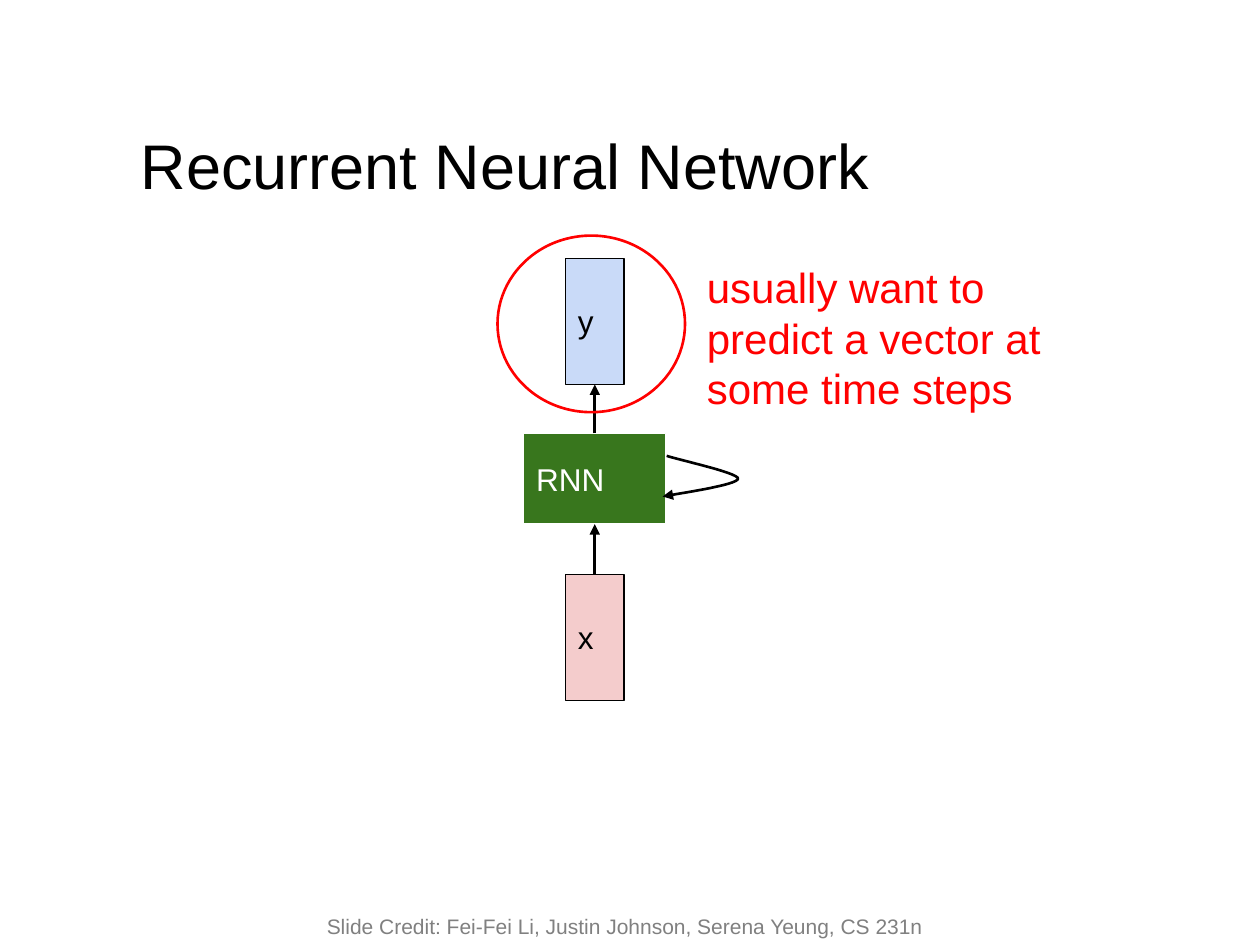
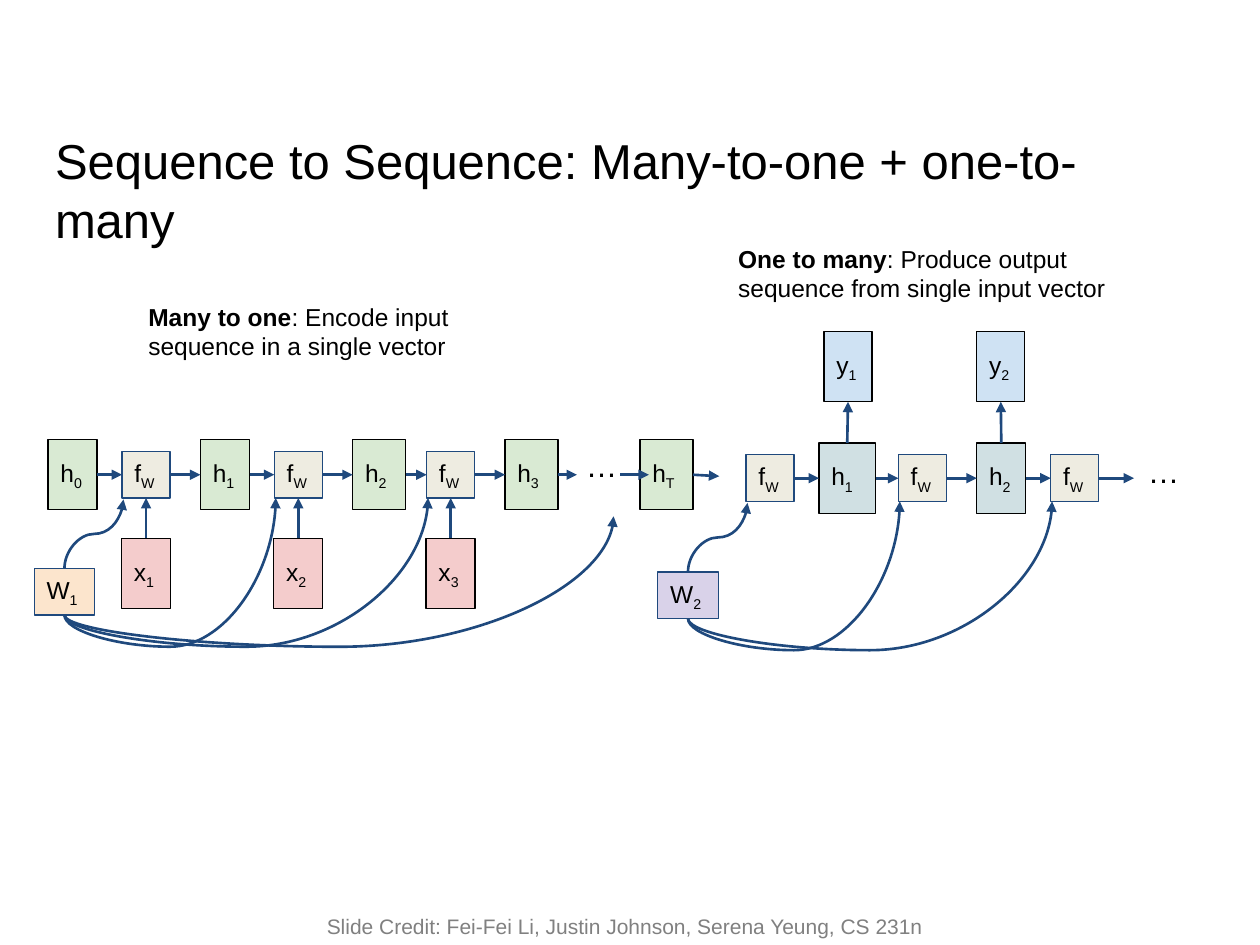
from lxml import etree
from pptx import Presentation
from pptx import util as u
from pptx.dml.color import RGBColor
from pptx.enum import shapes, text
from pptx.oxml.ns import qn

BLACK = RGBColor(0x00, 0x00, 0x00)
WHITE = RGBColor(0xFF, 0xFF, 0xFF)
RED = RGBColor(0xFF, 0x00, 0x00)
GRAY = RGBColor(0x80, 0x80, 0x80)
NAVY = RGBColor(0x1F, 0x49, 0x7D)
PINK = RGBColor(0xF4, 0xCC, 0xCC)
GREEN = RGBColor(0x38, 0x76, 0x1D)
PERIWINKLE = RGBColor(0xC9, 0xDA, 0xF8)
PALE_BLUE = RGBColor(0xCF, 0xE2, 0xF3)
PALE_GREEN = RGBColor(0xD9, 0xEA, 0xD3)
PALE_TEAL = RGBColor(0xD0, 0xE0, 0xE3)
BEIGE = RGBColor(0xEE, 0xEC, 0xE1)
PEACH = RGBColor(0xFC, 0xE5, 0xCD)
LILAC = RGBColor(0xD9, 0xD2, 0xE9)

TOP, LEFT, BOTTOM, RIGHT = range(4)
STEP = 3.07
CELL_WIDTH, CELL_HEIGHT = 0.97, 0.94
STATE_HEIGHT = 1.42
WEIGHT_WIDTH = 1.22
WEIGHT_DROP = 2.36
CURVE_DIP = 0.64
CREDIT = "Slide Credit: Fei-Fei Li, Justin Johnson, Serena Yeung, CS 231n"


def cubic(start, first, second, end, steps=16):
    points = []
    for step in range(1, steps + 1):
        t = step / steps
        weights = ((1 - t) ** 3, 3 * t * (1 - t) ** 2, 3 * t * t * (1 - t), t ** 3)
        points.append(tuple(
            sum(w * p for w, p in zip(weights, axis))
            for axis in zip(start, first, second, end)))
    return points


class Deck:
    font = "Arial"
    inset = u.Cm(0.25)

    def __init__(self):
        self.show = Presentation()
        self.show.slide_width = u.Cm(25.4)
        self.show.slide_height = u.Cm(19.05)
        self.slide = None

    def new_slide(self):
        self.slide = self.show.slides.add_slide(self.show.slide_layouts[6])
        self.text([(CREDIT,)], 5.08, 17.78, 15.04, 1.27, 12, GRAY,
                  anchor=text.MSO_ANCHOR.BOTTOM, align=text.PP_ALIGN.CENTER)

    def add_runs(self, shape, runs, size, color, anchor, align):
        frame = shape.text_frame
        frame.word_wrap = True
        frame.vertical_anchor = anchor
        frame.margin_left = frame.margin_right = self.inset
        if anchor != text.MSO_ANCHOR.BOTTOM:
            frame.margin_top = frame.margin_bottom = self.inset
        paragraph = frame.paragraphs[0]
        paragraph.alignment = align
        for words, *styles in runs:
            run = paragraph.add_run()
            run.text = words
            run.font.name = self.font
            run.font.size = u.Pt(size)
            run.font.color.rgb = color
            run.font.bold = "bold" in styles
            if "sub" in styles:
                run.font._element.set("baseline", "-25000")

    def text(self, runs, left, top, width, height, size, color=BLACK,
             anchor=text.MSO_ANCHOR.TOP, align=text.PP_ALIGN.LEFT):
        box = self.slide.shapes.add_textbox(
            u.Cm(left), u.Cm(top), u.Cm(width), u.Cm(height))
        self.add_runs(box, runs, size, color, anchor, align)

    def outline(self, kind, left, mid, width, height, edge, weight):
        shape = self.slide.shapes.add_shape(
            kind, u.Cm(left), u.Cm(mid - height / 2), u.Cm(width), u.Cm(height))
        shape.shadow.inherit = False
        shape.fill.background()
        shape.line.color.rgb = edge
        shape.line.width = u.Pt(weight)
        return shape

    def box(self, label, left, mid, width, height, fill, edge=BLACK,
            size=14, color=BLACK):
        shape = self.outline(shapes.MSO_SHAPE.RECTANGLE, left, mid, width, height, edge, 0.75)
        shape.fill.solid()
        shape.fill.fore_color.rgb = fill
        base, _, index = label.partition("_")
        runs = [(base,), (index, "sub")] if index else [(base,)]
        self.add_runs(shape, runs, size, color,
                      text.MSO_ANCHOR.MIDDLE, text.PP_ALIGN.LEFT)
        return shape

    def ring(self, left, mid, width, height, edge):
        self.outline(shapes.MSO_SHAPE.OVAL, left, mid, width, height, edge, 1.5)

    def arrowhead(self, shape, color):
        shape.line.color.rgb = color
        shape.line.width = u.Pt(1.5)
        etree.SubElement(shape.get_or_add_ln(), qn("a:tailEnd"), type="triangle")

    def connector(self, kind, start, end, color):
        line = self.slide.shapes.add_connector(
            kind, *(u.Cm(value) for value in (*start, *end)))
        self.arrowhead(line, color)
        etree.SubElement(line._element.spPr, qn("a:effectLst"))
        return line

    def arrow(self, source, target, color=NAVY, sides=(RIGHT, LEFT)):
        ends = [end if isinstance(end, tuple) else (0, 0) for end in (source, target)]
        line = self.connector(shapes.MSO_CONNECTOR.STRAIGHT, *ends, color)
        if not isinstance(source, tuple):
            line.begin_connect(source, sides[0])
        if not isinstance(target, tuple):
            line.end_connect(target, sides[1])

    def curve(self, start, end, bend):
        (x1, y1), (x2, y2) = start, end
        mid_x, mid_y = (x1 + x2) / 2, (y1 + y2) / 2
        half_width, half_height = (y1 - y2) / 2, (x2 - x1) / 2
        line = self.connector(
            shapes.MSO_CONNECTOR.CURVE,
            (mid_x + half_width, mid_y + half_height),
            (mid_x - half_width, mid_y - half_height), NAVY)
        line.rotation = 90
        guides = line._element.spPr.find(qn("a:prstGeom")).get_or_add_avLst()
        etree.SubElement(guides, qn("a:gd"), name="adj1", fmla=f"val {round(bend * 100000)}")

    def loop(self, points, color):
        emu = [(u.Cm(x), u.Cm(y)) for x, y in points]
        builder = self.slide.shapes.build_freeform(*emu[0])
        builder.add_line_segments(emu[1:], close=False)
        shape = builder.convert_to_shape()
        shape.shadow.inherit = False
        shape.fill.background()
        self.arrowhead(shape, color)

    def cells(self, left, mid):
        return [self.box("f_W", left + i * STEP, mid, CELL_WIDTH, CELL_HEIGHT, BEIGE, NAVY)
                for i in range(3)]

    def chain(self, links):
        for source, target in zip(links, links[1:]):
            self.arrow(source, target)

    def weights(self, label, left, mid, fill, cell_left, extra_targets=()):
        weight_mid = mid + WEIGHT_DROP
        self.box(label, left, weight_mid, WEIGHT_WIDTH, CELL_HEIGHT, fill, NAVY)
        center = left + WEIGHT_WIDTH / 2
        cell_bottom = mid + CELL_HEIGHT / 2
        corner = cell_left + 0.03
        self.curve((center, weight_mid - CELL_HEIGHT / 2), (corner, cell_bottom + 0.03), 0.5)
        bottom = weight_mid + CELL_HEIGHT / 2
        targets = [(corner + i * STEP, cell_bottom) for i in (1, 2)]
        for target in (*targets, *extra_targets):
            self.curve((center, bottom), target, -CURVE_DIP / (bottom - target[1]))


def recurrent_network(deck):
    deck.new_slide()
    deck.text([("Recurrent Neural Network",)], 2.59, 2.31, 20.24, 1.22, 36)
    vector_in = deck.box("x", 11.4, 12.85, 1.18, 2.54, PINK, size=18)
    rnn = deck.box("RNN", 10.56, 9.65, 2.86, 1.83, GREEN, WHITE, 18, WHITE)
    vector_out = deck.box("y", 11.4, 6.48, 1.18, 2.54, PERIWINKLE, size=18)
    for source, target in ((rnn, vector_out), (vector_in, rnn)):
        deck.arrow(source, target, BLACK, (TOP, BOTTOM))
    start, turn, end = (13.44, 9.19), (14.88, 9.65), (13.36, 10.01)
    deck.loop([start, *cubic(start, (13.67, 9.27), (14.88, 9.53), turn),
               *cubic(turn, (14.88, 9.78), (13.61, 9.96), end)], BLACK)
    deck.ring(10.03, 6.53, 3.78, 3.56, RED)
    deck.text([("usually want to predict a vector at some time steps",)],
              14, 5.03, 7.92, 1.32, 24, RED)


def encoder(deck):
    mid, cell_left = 9.57, 2.46
    deck.text([("Many to one", "bold"), (": Encode input sequence in a single vector",)],
              2.74, 5.84, 8.2, 1.83, 14)
    states = [deck.box(f"h_{i}", 0.97 + i * STEP, mid, width, STATE_HEIGHT, PALE_GREEN)
              for i, width in enumerate((0.99, 0.99, 1.07, 1.07))]
    cells = deck.cells(cell_left, mid)
    links = [link for pair in zip(states, cells) for link in pair]
    deck.chain([*links, states[-1], (11.63, mid)])
    for i, cell in enumerate(cells):
        item = deck.box(f"x_{i + 1}", 2.45 + i * STEP, 11.56, 0.99, STATE_HEIGHT, PINK)
        deck.arrow(item, cell, sides=(TOP, BOTTOM))
    deck.text([("…",)], 11.56, 8.74, 1.57, 1.68, 18)
    deck.weights("W_1", 0.69, mid, PEACH, cell_left, [(12.37, 10.41)])
    final = deck.box("h_T", 12.9, mid, 1.07, STATE_HEIGHT, PALE_GREEN)
    deck.arrow((12.5, mid), (13.08, mid))
    deck.arrow(final, (14.5, 9.6))


def decoder(deck):
    mid, cell_left = 9.64, 15.04
    deck.text([("One to many", "bold"),
               (": Produce output sequence from single input vector",)],
              14.63, 4.67, 8.2, 1.83, 14)
    cells = deck.cells(cell_left, mid)
    states = []
    for i, (left, width, output_left) in enumerate(
            ((16.51, 1.14, 16.61), (19.69, 0.99, 19.69)), 1):
        state = deck.box(f"h_{i}", left, mid, width, STATE_HEIGHT, PALE_TEAL)
        output = deck.box(f"y_{i}", output_left, 7.39, 0.97, STATE_HEIGHT, PALE_BLUE)
        deck.arrow(state, output, sides=(TOP, BOTTOM))
        states.append(state)
    links = [link for pair in zip(cells, states) for link in pair]
    deck.chain([*links, cells[-1], (22.86, mid)])
    deck.text([("…",)], 22.89, 8.86, 1.57, 1.68, 18)
    deck.weights("W_2", 13.26, mid, LILAC, cell_left)


def sequence_to_sequence(deck):
    deck.new_slide()
    deck.text([("Sequence to Sequence: Many-to-one + one-to-many",)],
              0.86, 2.62, 23.44, 2.39, 28, anchor=text.MSO_ANCHOR.MIDDLE)
    encoder(deck)
    decoder(deck)


def main():
    deck = Deck()
    recurrent_network(deck)
    sequence_to_sequence(deck)
    deck.show.save("out.pptx")


if __name__ == "__main__":
    main()
